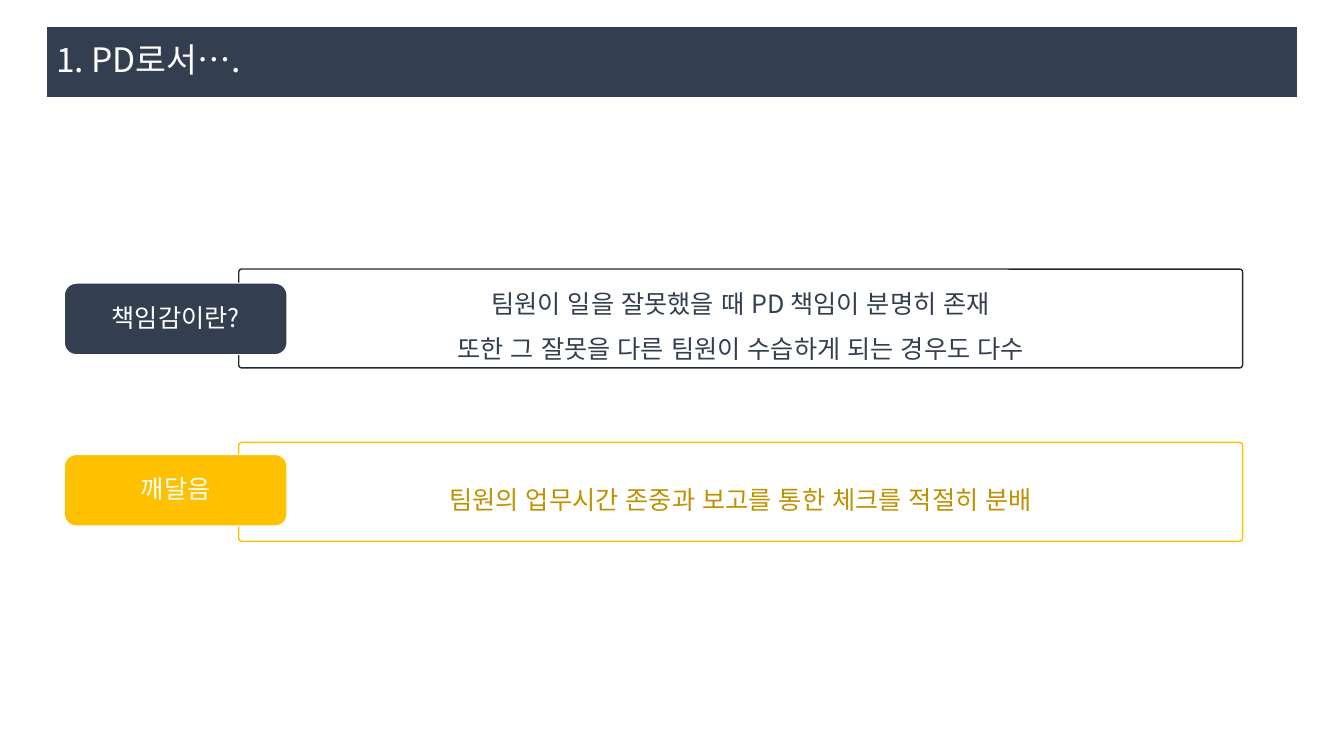
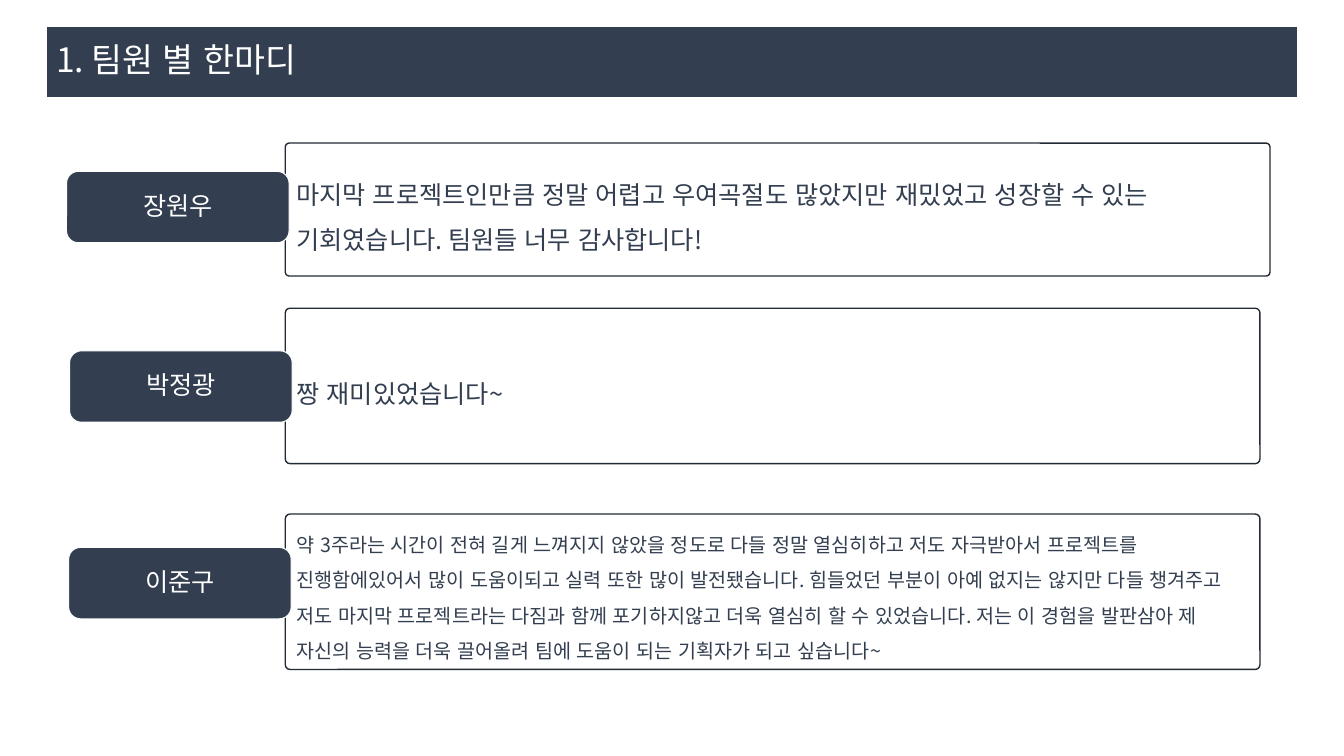
from lxml import etree
from pptx import Presentation
from pptx.dml.color import RGBColor
from pptx.enum import lang, shapes, text
from pptx.oxml import ns
from pptx.util import Pt

NAVY = RGBColor(0x33, 0x3F, 0x50)
DARK = RGBColor(0x22, 0x2A, 0x35)
GOLD = RGBColor(0xFF, 0xC0, 0x00)
OCHRE = RGBColor(0xBF, 0x90, 0x00)
WHITE = RGBColor(0xFF, 0xFF, 0xFF)
FONT = "Noto Sans CJK KR"
RECT = shapes.MSO_SHAPE.RECTANGLE
ROUND = shapes.MSO_SHAPE.ROUNDED_RECTANGLE
LEFT = text.PP_ALIGN.LEFT
MID = text.PP_ALIGN.CENTER
TAG_W, TAG_H = 159, 51


def add_box(slide, kind, place, fill, edge, width):
    """Draw a box at (left, top, width, height); no fill when fill is None."""
    box = slide.shapes.add_shape(kind, *map(Pt, place))
    box.shadow.inherit = False
    if fill is None:
        box.fill.background()
    else:
        box.fill.solid()
        box.fill.fore_color.rgb = fill
    box.line.color.rgb = edge
    box.line.width = Pt(width)
    return box


def set_text(box, words, size, color, align, space):
    frame = box.text_frame
    frame.text = words
    frame.word_wrap = True
    frame.vertical_anchor = text.MSO_ANCHOR.MIDDLE
    for para in frame.paragraphs:
        para.alignment = align
        para.line_spacing = space
        for run in para.runs:
            font = run.font
            font.size = Pt(size)
            font.color.rgb = color
            font.name = FONT
            font.language_id = lang.MSO_LANGUAGE_ID.KOREAN
            # Korean glyphs take the East Asian typeface
            asian = etree.SubElement(run._r.get_or_add_rPr(), ns.qn("a:ea"))
            asian.set("typeface", FONT)


def add_page(deck, title):
    """Start a slide with the title band."""
    slide = deck.slides.add_slide(deck.slide_layouts[6])
    band = add_box(slide, RECT, (33, 18.8, 893.5, TAG_H), NAVY, WHITE, 0.75)
    set_text(band, title, 24, WHITE, LEFT, 0.9)
    return slide


def add_note(slide, place, words, edge=DARK, color=NAVY, align=LEFT, size=18):
    """Draw an outlined box with its message."""
    note = add_box(slide, ROUND, place, None, edge, 1)
    note.adjustments[0] = 0.03
    set_text(note, words, size, color, align, 1.5)


def add_tag(slide, left, top, words, fill=NAVY):
    """Draw the filled label that overlaps a note."""
    tag = add_box(slide, ROUND, (left, top, TAG_W, TAG_H), fill, WHITE, 0.75)
    set_text(tag, words, 18, WHITE, MID, 0.9)


def add_lesson(deck):
    slide = add_page(deck, "1. PD로서….")
    rows = [
        (192.2, 202.3, "책임감이란?", NAVY, DARK, NAVY,
         "팀원이 일을 잘못했을 때 PD 책임이 분명히 존재\n"
         "또한 그 잘못을 다른 팀원이 수습하게 되는 경우도 다수"),
        (316, 324.7, "깨달음", GOLD, GOLD, OCHRE,
         "팀원의 업무시간 존중과 보고를 통한 체크를 적절히 분배"),
    ]
    for top, tag_top, label, fill, edge, color, words in rows:
        add_note(slide, (170.6, top, 717, 70.6), words, edge, color, MID)
        add_tag(slide, 46, tag_top, label, fill)


def add_team(deck):
    slide = add_page(deck, "1. 팀원 별 한마디")
    # Note top, width, height; tag left, top; name, size, message
    rows = [
        (102.2, 703.4, 95, 47.5, 122.4, "장원우", 18,
         "마지막 프로젝트인만큼 정말 어렵고 우여곡절도 많았지만 재밌었고 "
         "성장할 수 있는 기회였습니다. 팀원들 너무 감사합니다!"),
        (220.2, 696.2, 111, 49.7, 250.6, "박정광", 18, "짱 재미있었습니다~"),
        (367.2, 696.2, 111, 49, 391, "이준구", 14,
         "약 3주라는 시간이 전혀 길게 느껴지지 않았을 정도로 다들 정말 "
         "열심히하고 저도 자극받아서 프로젝트를 진행함에있어서 많이 "
         "도움이되고 실력 또한 많이 발전됐습니다. 힘들었던 부분이 아예 "
         "없지는 않지만 다들 챙겨주고 저도 마지막 프로젝트라는 다짐과 함께 "
         "포기하지않고 더욱 열심히 할 수 있었습니다. 저는 이 경험을 발판삼아 "
         "제 자신의 능력을 더욱 끌어올려 팀에 도움이 되는 기획자가 되고 "
         "싶습니다~"),
    ]
    for top, width, height, left, tag_top, name, size, words in rows:
        add_note(slide, (203.8, top, width, height), words, size=size)
        add_tag(slide, left, tag_top, name)


def main():
    deck = Presentation()
    deck.slide_width, deck.slide_height = Pt(960), Pt(540)
    add_lesson(deck)
    add_team(deck)
    deck.save("out.pptx")


if __name__ == "__main__":
    main()
